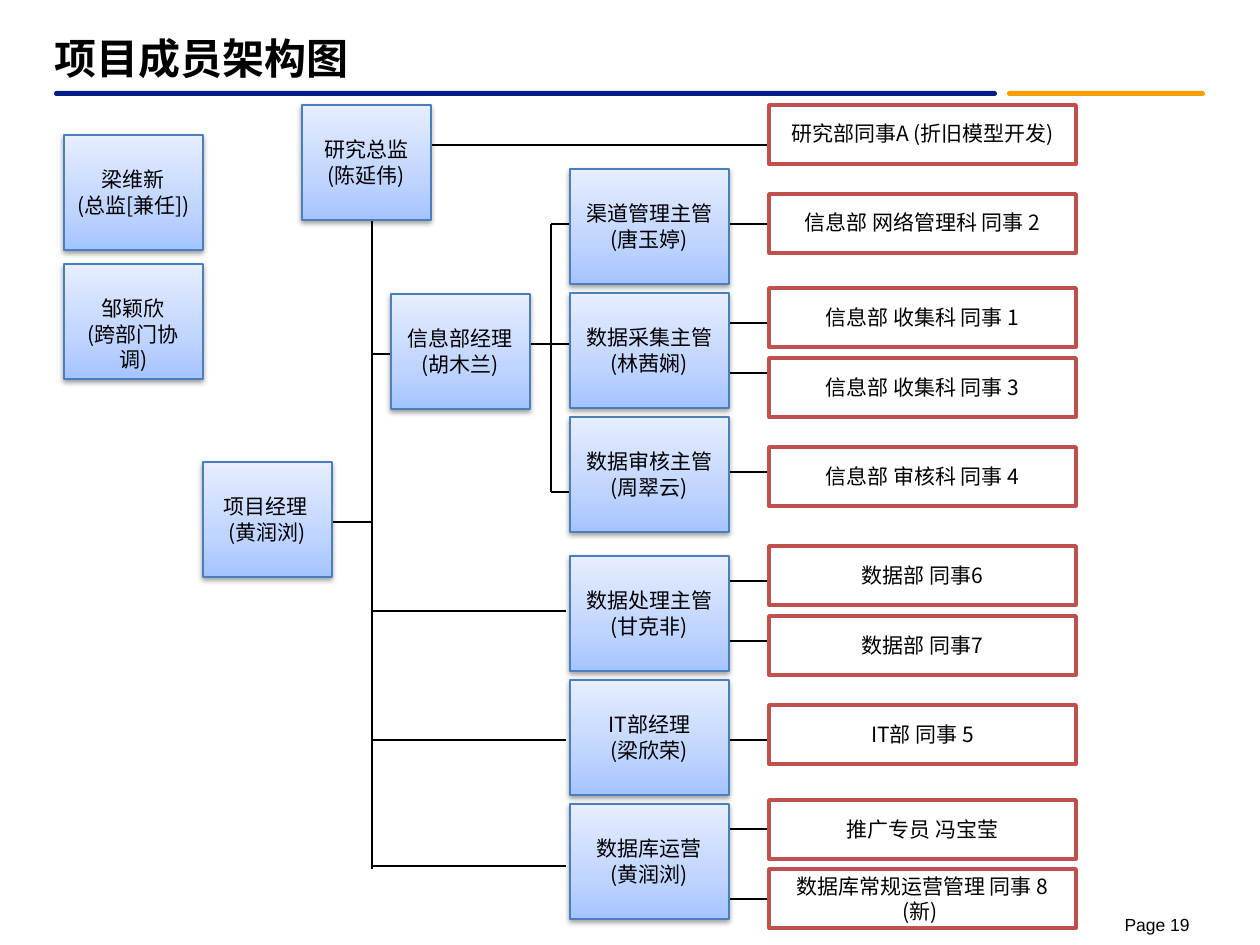
"""Build the project team organisation chart slide."""
from copy import deepcopy

from lxml.etree import SubElement
from pptx import Presentation
from pptx.dml.color import RGBColor
from pptx.enum.shapes import MSO_CONNECTOR as Connector, MSO_SHAPE as Shape
from pptx.enum.text import MSO_ANCHOR as Anchor, PP_ALIGN as Align
from pptx.oxml.ns import qn
from pptx.util import Pt

PIXEL = 914400 // 126
FONT = "Noto Sans CJK SC"
BLACK = RGBColor(0x00, 0x00, 0x00)
WHITE = RGBColor(0xFF, 0xFF, 0xFF)
NAVY = RGBColor(0x03, 0x1D, 0x89)
ORANGE = RGBColor(0xF5, 0xA0, 0x00)
RED = RGBColor(0xC0, 0x50, 0x4D)
BLUE = RGBColor(0x4B, 0x7E, 0xBC)
GRADIENT = [(0, RGBColor(0xA4, 0xC4, 0xFF)), (0.35, RGBColor(0xBF, 0xD4, 0xFF)),
            (1, RGBColor(0xE6, 0xEE, 0xFF))]

TITLE = "项目成员架构图"
PAGE = "Page 19"
RULES = [(1007, 198, ORANGE), (54, 943, NAVY)]

LEADERS = [
    (302, 105, 129, "研究总监", "(陈延伟)"),
    (64, 135, 139, "梁维新", "(总监[兼任])"),
    (64, 264, 139, "邹颖欣", "(跨部门协调)"),
    (203, 462, 129, "项目经理 ", "(黄润浏)"),
    (391, 294, 139, "信息部经理", "(胡木兰)"),
]
SUPERVISORS = [
    (169, "渠道管理主管", "(唐玉婷)"),
    (293, "数据采集主管", "(林茜娴)"),
    (417, "数据审核主管", "(周翠云)"),
    (556, "数据处理主管", "(甘克非)"),
    (680, "IT部经理", "(梁欣荣)"),
    (804, "数据库运营", "(黄润浏)"),
]
MEMBERS = [
    (105, "研究部同事A (折旧模型开发)", 0.9),
    (194, "信息部 网络管理科 同事 2", 0.9),
    (288, "信息部 收集科 同事 1", 1),
    (358, "信息部 收集科 同事 3", 1),
    (447, "信息部 审核科 同事 4", 1),
    (546, "数据部 同事6", 1),
    (616, "数据部 同事7", 1),
    (705, "IT部 同事 5", 1),
    (800, "推广专员 冯宝莹", 1),
    (869, "数据库常规运营管理 同事 8\v(新) ", 1),
]
BOX_HEIGHT, MEMBER_HEIGHT = 115, 59
SUPERVISOR_LEFT, SUPERVISOR_WIDTH = 570, 159
MEMBER_LEFT, MEMBER_WIDTH = 769, 307
SPINE, BRANCH, SUPERVISOR_RIGHT = 372, 551, 729

MEMBER_LINES = [224, 323, 373, 472, 581, 641, 740, 829, 899]
LINES = [
    (SPINE, 214, SPINE, 869), (322, 522, SPINE, 522), (SPINE, 354, 422, 354),
    (432, 145, 789, 145), (530, 344, 591, 344), (BRANCH, 224, BRANCH, 492),
    *[(BRANCH, y, 600, y) for y in (224, 492)],
    *[(SPINE, y, 566, y) for y in (611, 740, 866)],
    *[(SUPERVISOR_RIGHT, y, 779, y) for y in MEMBER_LINES],
]

presentation = Presentation()
presentation.slide_width, presentation.slide_height = 1260 * PIXEL, 945 * PIXEL
slide = presentation.slides.add_slide(presentation.slide_layouts[6])


def write(shape, lines, size=12, align=Align.CENTER, font=FONT, bold=False, spacing=1):
    frame = shape.text_frame
    frame.word_wrap = True
    for index, line in enumerate(lines):
        paragraph = frame.add_paragraph() if index else frame.paragraphs[0]
        paragraph.text = line
        paragraph.alignment = align
        paragraph.line_spacing = spacing
        for run in paragraph.runs:
            run.font.name, run.font.size, run.font.bold = font, Pt(size), bold
            run.font.color.rgb = BLACK
            SubElement(run.font._element, qn("a:ea"), typeface=font)
    return frame


def add_box(kind, left, top, width, height, color):
    shape = slide.shapes.add_shape(kind, *[n * PIXEL for n in (left, top, width, height)])
    shape.shadow.inherit = False
    shape.fill.solid()
    shape.fill.fore_color.rgb = color
    return shape


def add_manager(left, top, width, *lines):
    shape = add_box(Shape.RECTANGLE, left, top, width, BOX_HEIGHT, WHITE)
    shape.fill.gradient()
    shape.fill.gradient_angle = 90
    stop_list = shape._element.spPr.find(".//" + qn("a:gsLst"))
    stop_list.append(deepcopy(stop_list[-1]))
    for stop, (position, color) in zip(shape.fill.gradient_stops, GRADIENT):
        stop.position, stop.color.rgb = position, color
    shape.line.color.rgb, shape.line.width = BLUE, Pt(0.75)
    effects = shape._element.spPr.find(qn("a:effectLst"))
    shadow = SubElement(effects, qn("a:outerShdw"), blurRad=str(Pt(3.1)), dist=str(Pt(1.6)),
                        dir="5400000", rotWithShape="0")
    shade = SubElement(shadow, qn("a:srgbClr"), val=str(BLACK))
    SubElement(shade, qn("a:alpha"), val="38000")
    frame = write(shape, lines)
    frame.vertical_anchor = Anchor.TOP
    frame.margin_top = 32 * PIXEL


def add_member(top, text, spacing):
    shape = add_box(Shape.RECTANGLE, MEMBER_LEFT, top, MEMBER_WIDTH, MEMBER_HEIGHT, WHITE)
    shape.line.color.rgb, shape.line.width = RED, Pt(2)
    frame = write(shape, [text], spacing=spacing)
    frame.vertical_anchor = Anchor.MIDDLE
    frame.margin_left = frame.margin_right = frame.margin_top = frame.margin_bottom = PIXEL


def add_line(*ends):
    line = slide.shapes.add_connector(Connector.STRAIGHT, *[n * PIXEL for n in ends])
    line.line.color.rgb, line.line.width = BLACK, Pt(0.75)
    SubElement(line._element.spPr, qn("a:effectLst"))


def add_text(left, top, width, height, text, **style):
    box = slide.shapes.add_textbox(*[n * PIXEL for n in (left, top, width, height)])
    return write(box, [text], **style)


for left, width, color in RULES:
    rule = add_box(Shape.ROUNDED_RECTANGLE, left, 91, width, 5, color)
    rule.adjustments[0] = 0.5
    rule.line.fill.background()
for ends in LINES:
    add_line(*ends)
for leader in LEADERS:
    add_manager(*leader)
for top, *lines in SUPERVISORS:
    add_manager(SUPERVISOR_LEFT, top, SUPERVISOR_WIDTH, *lines)
for member in MEMBERS:
    add_member(*member)
add_text(40, 26, 323, 63, TITLE, size=24, bold=True).word_wrap = False
add_text(1089, 908, 113, 26, PAGE, size=10, align=Align.RIGHT, font="Arial")

presentation.save("out.pptx")
